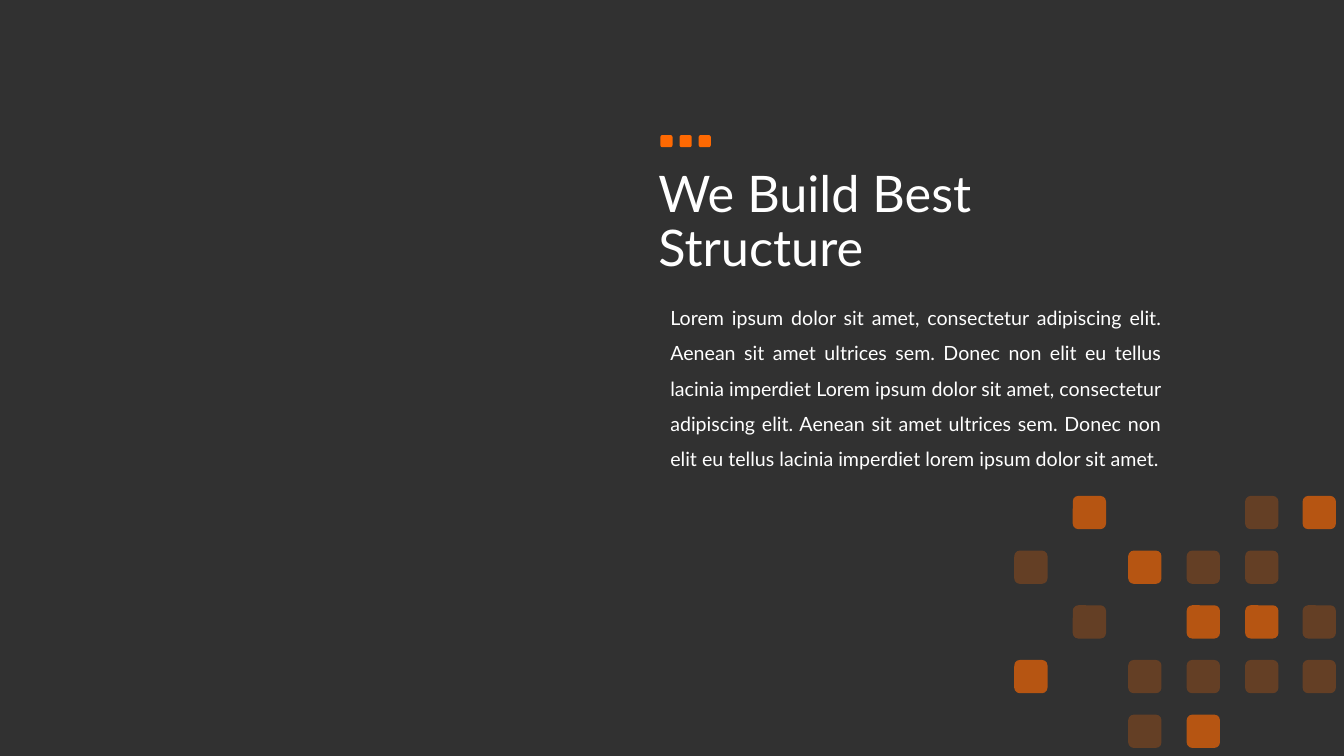
from lxml import etree
from pptx import Presentation
from pptx import util as u
from pptx.dml.color import RGBColor
from pptx.enum import shapes, text
from pptx.oxml.ns import qn

BACKGROUND, ORANGE, WHITE = "313131", "FE6902", "FFFFFF"
FONT = "Lato"
MOSAIC = (
    ".#..-#",
    "-.#--.",
    ".-.##-",
    "#.----",
    "..-#..",
)
MOSAIC_COLUMNS = (10.06, 10.64, 11.19, 11.77, 12.35, 12.92)
MOSAIC_TOP, MOSAIC_SPAN = 4.92, 2.17
OPACITY = {"#": 65, "-": 25}
BODY = (
    "Lorem ipsum dolor sit amet, consectetur adipiscing elit. Aenean sit amet "
    "ultrices sem. Donec non elit eu tellus lacinia imperdiet Lorem ipsum dolor "
    "sit amet, consectetur adipiscing elit. Aenean sit amet ultrices sem. Donec "
    "non elit eu tellus lacinia imperdiet lorem ipsum dolor sit amet."
)


def paint(fill, colour, opacity=100):
    fill.solid()
    fill.fore_color.rgb = RGBColor.from_string(colour)
    if opacity < 100:
        tint = fill._xPr.find(qn("a:solidFill"))[0]
        etree.SubElement(tint, qn("a:alpha"), val=str(opacity * 1000))


def place(part, left, top, width, height):
    part.left, part.top = u.Inches(left), u.Inches(top)
    part.width, part.height = u.Inches(width), u.Inches(height)


def add_tile(group, left, top, side, opacity=100):
    tile = group.shapes.add_shape(
        shapes.MSO_SHAPE.ROUNDED_RECTANGLE,
        u.Inches(left), u.Inches(top), u.Inches(side), u.Inches(side))
    tile.shadow.inherit = False
    tile.line.fill.background()
    paint(tile.fill, ORANGE, opacity)


def add_mosaic(slide):
    mosaic = slide.shapes.add_group_shape()
    for row, marks in enumerate(MOSAIC):
        top = MOSAIC_TOP + MOSAIC_SPAN * row / (len(MOSAIC) - 1)
        for left, mark in zip(MOSAIC_COLUMNS, marks):
            if mark in OPACITY:
                add_tile(mosaic, left, top, 0.33, OPACITY[mark])


def add_accent(slide):
    accent = slide.shapes.add_group_shape()
    for step in range(3):
        add_tile(accent, 6.55 + 0.19 * step, 1.34, 0.12)


def write(frame, words, size, align, spacing):
    frame.word_wrap = True
    frame.text = words
    for paragraph in frame.paragraphs:
        paragraph.alignment = align
        paragraph.line_spacing = spacing
        for run in paragraph.runs:
            run.font.name = FONT
            run.font.size = u.Pt(size)
            paint(run.font.fill, WHITE)
        for line_break in paragraph._p.findall(qn("a:br")):
            etree.SubElement(line_break, qn("a:rPr"), sz=str(size * 100))


def add_heading(slide):
    heading = slide.shapes.title
    place(heading, 6.43, 1.49, 11.5, 1.45)
    heading.text_frame.vertical_anchor = text.MSO_ANCHOR.MIDDLE
    write(heading.text_frame, "We Build Best \vStructure", 36,
          text.PP_ALIGN.LEFT, 0.9)


def add_body(slide):
    body = slide.shapes.add_textbox(0, 0, 0, 0)
    place(body, 6.55, 2.87, 5.07, 1.82)
    write(body.text_frame, BODY, 14, text.PP_ALIGN.JUSTIFY, 1.5)
    body.text_frame.auto_size = text.MSO_AUTO_SIZE.SHAPE_TO_FIT_TEXT


def main():
    deck = Presentation()
    deck.slide_width, deck.slide_height = u.Inches(13.33), u.Inches(7.5)
    slide = deck.slides.add_slide(deck.slide_layouts.get_by_name("Title Only"))
    paint(slide.background.fill, BACKGROUND)
    add_mosaic(slide)
    add_heading(slide)
    add_body(slide)
    add_accent(slide)
    deck.save("out.pptx")


if __name__ == "__main__":
    main()
